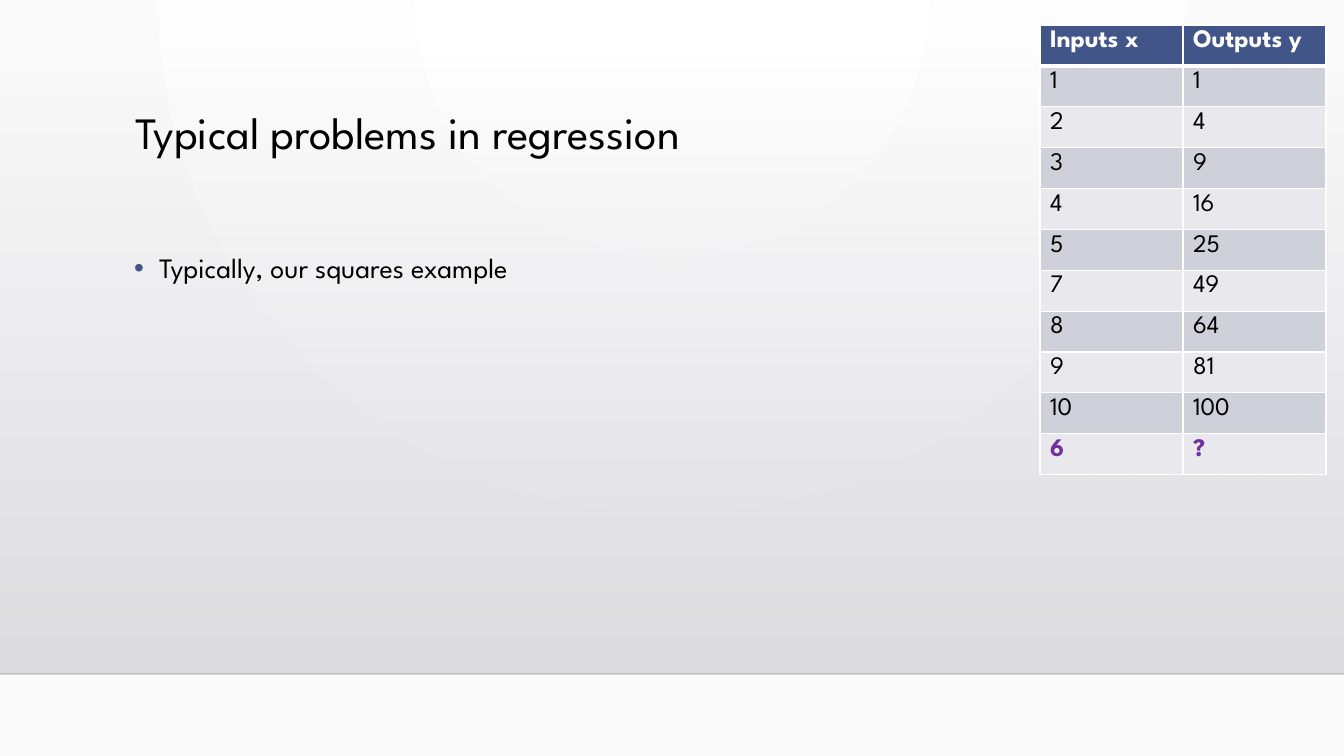
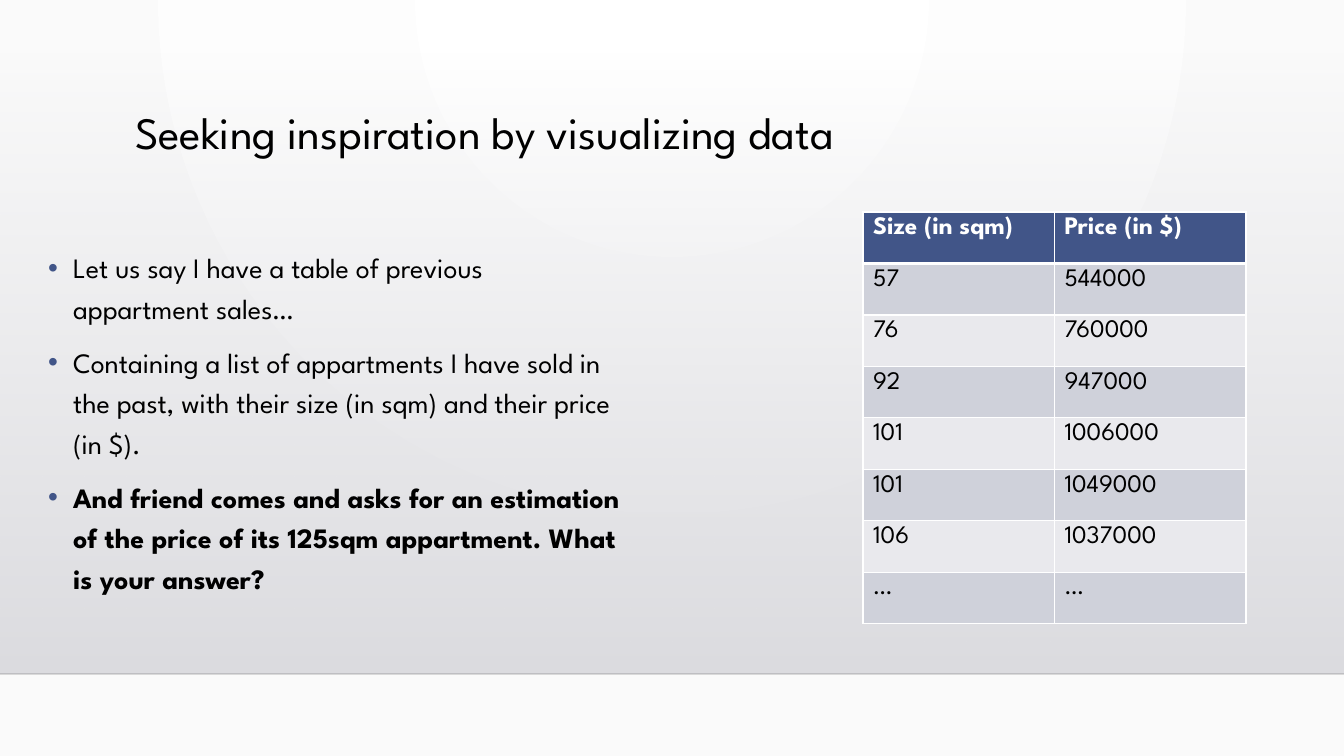
from lxml import etree
from pptx import Presentation
from pptx.dml.color import RGBColor
from pptx.enum.shapes import MSO_CONNECTOR, MSO_SHAPE
from pptx.enum.text import MSO_ANCHOR, MSO_AUTO_SIZE, PP_ALIGN
from pptx.oxml.ns import qn
from pptx.util import Pt

RECTANGLE, STRAIGHT = MSO_SHAPE.RECTANGLE, MSO_CONNECTOR.STRAIGHT
TOP, LEFT, NO_FIT = MSO_ANCHOR.TOP, PP_ALIGN.LEFT, MSO_AUTO_SIZE.NONE

FONT = "League Spartan"
BLACK = RGBColor(0x00, 0x00, 0x00)
WHITE = RGBColor(0xFF, 0xFF, 0xFF)
OFF_WHITE = RGBColor(0xFA, 0xFA, 0xFA)
SHADE_TOP = RGBColor(0xDC, 0xDC, 0xE0)
SHADE_BOTTOM = RGBColor(0xDE, 0xDE, 0xE2)
RULE = RGBColor(0x00, 0x00, 0x01)
BLUE = RGBColor(0x41, 0x55, 0x88)
BAND_DARK = RGBColor(0xCF, 0xD1, 0xDA)
BAND_LIGHT = RGBColor(0xE9, 0xE9, 0xED)
PURPLE = RGBColor(0x70, 0x30, 0xA0)

SLIDE_W, SLIDE_H = 1344, 756
TITLE_BOX = (125, 106, 1058, 117)
SHADE_Y, FLOOR_Y = 51, 674
BULLET_INDENT = 25

SQUARES = [("Inputs x", "Outputs y")]
SQUARES += [(str(n), str(n * n)) for n in range(1, 11) if n != 6]
SQUARES += [("6", "?")]

SALES = [
    ("Size (in sqm)", "Price (in $)"),
    ("57", "544000"),
    ("76", "760000"),
    ("92", "947000"),
    ("101", "1006000"),
    ("101", "1049000"),
    ("106", "1037000"),
    ("…", "…"),
]


def px(n):
    """Turn pixels (100.8 to the inch) into EMU."""
    return round(n * 914400 / 100.8)


def place(shape, box):
    shape.left, shape.top, shape.width, shape.height = map(px, box)


def add_xml(parent, tag, **attributes):
    return etree.SubElement(parent, qn(tag), attributes)


def set_alpha(shape, percent):
    """Make the first explicit colour of a shape see-through."""
    color = next(shape.element.iter(qn("a:srgbClr")))
    add_xml(color, "a:alpha", val=str(percent * 1000))


def set_gradient(fill, *colors):
    fill.gradient()
    for stop, color in zip(fill.gradient_stops, colors):
        stop.color.rgb = color


def style_runs(p, size, color, bold=False):
    for r in p.runs:
        r.font.name = FONT
        r.font.size = Pt(size)
        r.font.bold = bold
        r.font.color.rgb = color


def set_background(master):
    set_gradient(master.background.fill, WHITE, OFF_WHITE)
    grad = next(master.element.iter(qn("a:gradFill")))
    grad.remove(grad.find(qn("a:lin")))
    circle = add_xml(grad, "a:path", path="circle")
    add_xml(circle, "a:fillToRect", l="43000", r="43000", b="100000")


def add_backdrop(master, s):
    """Draw the shaded wall and its floor line on s, then move them to the master."""
    wall = s.shapes.add_shape(RECTANGLE, 0, px(SHADE_Y), px(SLIDE_W), px(FLOOR_Y - SHADE_Y))
    wall.shadow.inherit = False
    wall.line.fill.background()
    set_gradient(wall.fill, SHADE_TOP, SHADE_BOTTOM)
    wall.fill.gradient_angle = 270
    set_alpha(wall, 0)

    floor = s.shapes.add_connector(STRAIGHT, 0, px(FLOOR_Y), px(SLIDE_W), px(FLOOR_Y))
    floor.line.color.rgb = RULE
    floor.line.width = Pt(1)
    set_alpha(floor, 20)
    add_xml(floor.element.spPr, "a:effectLst")

    for i, shape in enumerate((wall, floor)):
        shape.element.xpath(".//p:cNvPr")[0].set("id", str(20 + i))
        master.shapes.element.insert(2 + i, shape.element)


def set_title(s, text):
    tf = s.shapes.title.text_frame
    tf.text = text
    tf.vertical_anchor = TOP
    tf.auto_size = NO_FIT
    p = tf.paragraphs[0]
    p.alignment = LEFT
    p.line_spacing = 0.9
    style_runs(p, 32, BLACK)


def add_bullet(p):
    pPr = p._p.get_or_add_pPr()
    pPr.set("marL", str(px(BULLET_INDENT)))
    pPr.set("indent", str(-px(BULLET_INDENT)))
    add_xml(add_xml(pPr, "a:buClr"), "a:srgbClr", val=str(BLUE))
    add_xml(pPr, "a:buFont", typeface="Arial")
    add_xml(pPr, "a:buChar", char="•")


def set_bullets(s, box, items, bold_item=None):
    body = s.placeholders[1]
    place(body, box)
    tf = body.text_frame
    tf.text = "\n".join(items)
    tf.auto_size = NO_FIT
    for i, p in enumerate(tf.paragraphs):
        add_bullet(p)
        p.line_spacing = 1.2
        p.space_before = Pt(10 if i else 0)
        style_runs(p, 20, BLACK, bold=i == bold_item)


def set_borders(cell, bottom=1, top=1):
    tcPr = cell._tc.get_or_add_tcPr()
    sides = (("L", 1), ("R", 1), ("T", top), ("B", bottom))
    for i, (side, width) in enumerate(sides):
        ln = etree.Element(qn(f"a:ln{side}"), w=str(Pt(width)))
        add_xml(add_xml(ln, "a:solidFill"), "a:srgbClr", val=str(WHITE))
        tcPr.insert(i, ln)


def add_data_table(s, box, rows, highlight=None):
    """Add a banded table; highlight is the index of a row to stress."""
    table = s.shapes.add_table(len(rows), len(rows[0]), *map(px, box)).table
    for i, values in enumerate(rows):
        if i == 0:
            fill, color = BLUE, WHITE
        else:
            fill = BAND_DARK if i % 2 else BAND_LIGHT
            color = PURPLE if i == highlight else BLACK
        for j, value in enumerate(values):
            cell = table.cell(i, j)
            cell.text = value
            cell.fill.solid()
            cell.fill.fore_color.rgb = fill
            set_borders(cell, bottom=3 if i == 0 else 1, top=3 if i == 1 else 1)
            style_runs(cell.text_frame.paragraphs[0], 18, color, bold=i in (0, highlight))


def build_regression(s):
    set_title(s, "Typical problems in regression")
    set_bullets(s, (124, 239, 512, 459), ["Typically, our squares example"])
    add_data_table(s, (1040, 25, 286, 450), SQUARES, highlight=len(SQUARES) - 1)


def build_inspiration(s):
    set_title(s, "Seeking inspiration by visualizing data")
    set_bullets(s, (38, 239, 598, 411), [
        "Let us say I have a table of previous appartment sales…",
        "Containing a list of appartments I have sold in the past, "
        "with their size (in sqm) and their price (in $).",
        "And friend comes and asks for an estimation of the price "
        "of its 125sqm appartment. What is your answer?",
    ], bold_item=2)
    add_data_table(s, (863, 212, 383, 412), SALES)


def main():
    prs = Presentation()
    prs.slide_width, prs.slide_height = px(SLIDE_W), px(SLIDE_H)
    layout = prs.slide_layouts[1]
    place(layout.placeholders[0], TITLE_BOX)
    slides = [prs.slides.add_slide(layout) for _ in range(2)]
    set_background(prs.slide_master)
    add_backdrop(prs.slide_master, slides[0])
    for build, s in zip((build_regression, build_inspiration), slides):
        build(s)
    prs.save("out.pptx")


if __name__ == "__main__":
    main()
